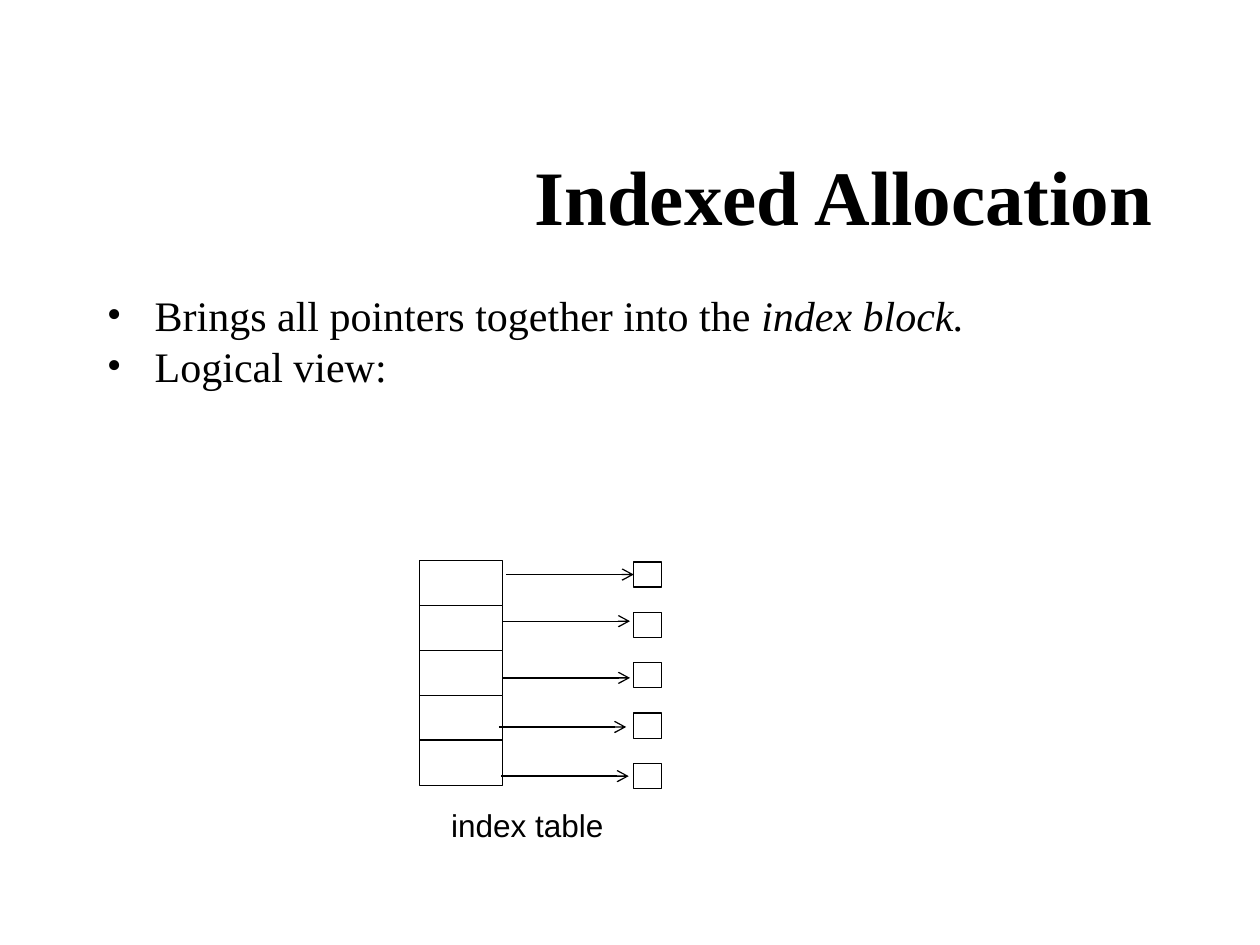
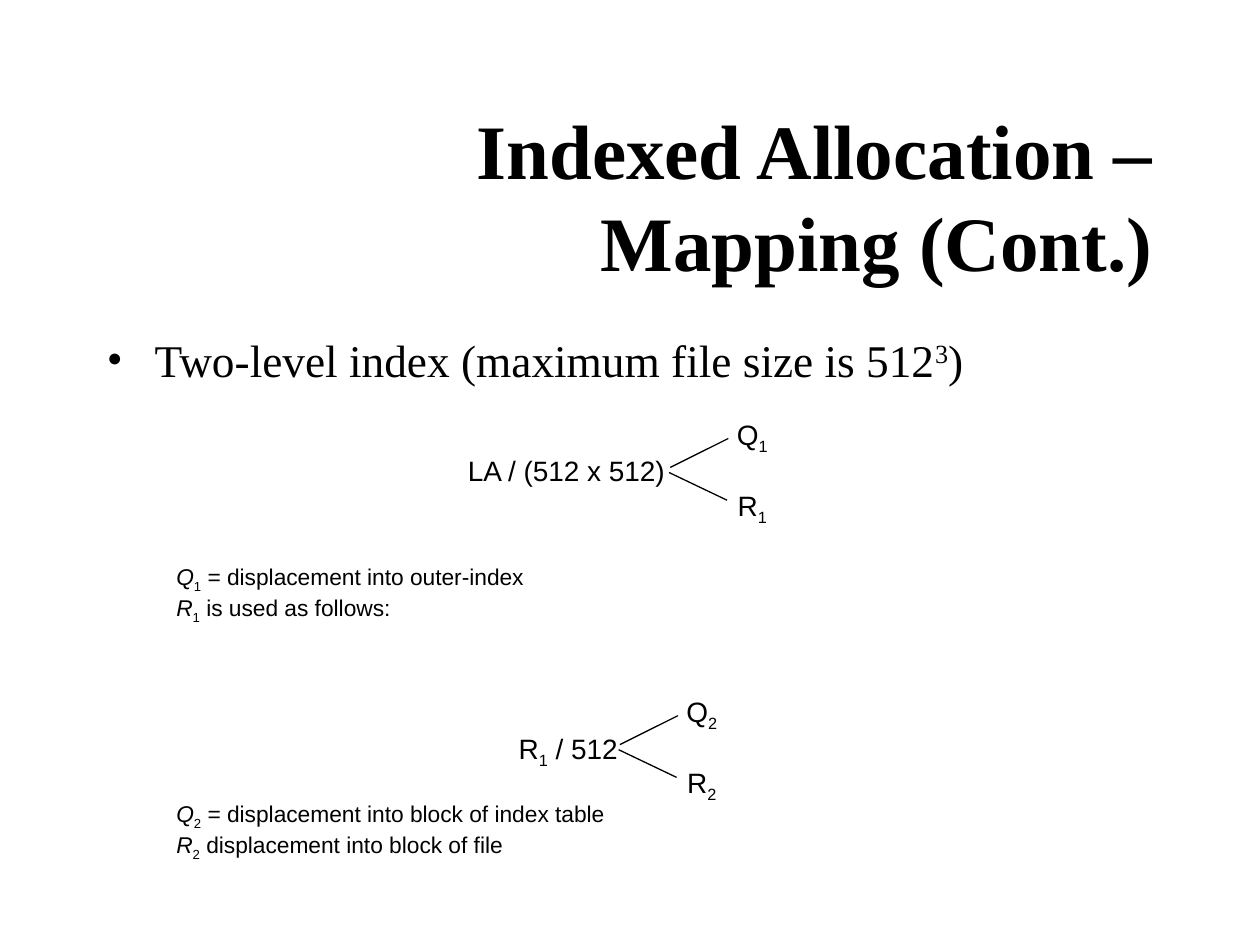
from lxml import etree
from pptx import Presentation
from pptx.dml.color import RGBColor
from pptx.enum.shapes import MSO_CONNECTOR, MSO_SHAPE
from pptx.enum.text import MSO_ANCHOR, MSO_AUTO_SIZE, PP_ALIGN
from pptx.oxml.ns import qn
from pptx.util import Inches, Pt

BLACK = RGBColor(0, 0, 0)
WHITE = RGBColor(255, 255, 255)
SERIF, SANS = "Times New Roman", "Arial"
LINE_WIDTH = Pt(0.75)
BASELINES = {"sub": "-25000", "sup": "30000"}

# A paragraph is a list of runs; a run is plain text or (text, style).
INDEX_TITLE = "Indexed Allocation"
INDEX_BULLETS = [
    ["Brings all pointers together into the ", ("index block.", "italic")],
    ["Logical view:"],
]
INDEX_LABEL = "index table"
ENTRY_COUNT = 5
ARROW_STARTS = [(4.02, 4.56), (3.99, 4.93), (3.99, 5.38), (3.96, 5.77), (3.98, 6.16)]
ARROW_LENGTH = 1.01

MAPPING_TITLE = "Indexed Allocation – Mapping (Cont.)"
MAPPING_BULLETS = [["Two-level index (maximum file size is 512", ("3", "sup"), ")"]]
DIVISIONS = [
    {
        "dividend": ["LA / (512 x 512)"], "dividend_box": (3.59, 3.55, 1.81, 0.37),
        "level": "1", "fork": (5.31, 3.26), "notes_top": 4.42,
        "notes": [" = displacement into outer-index", " is used as follows:"],
    },
    {
        "dividend": ["R", ("1", "sub"), " / 512"], "dividend_box": (3.98, 5.75, 1.06, 0.41),
        "level": "2", "fork": (4.91, 5.46), "notes_top": 6.3,
        "notes": [" = displacement into block of index table", " displacement into block of file"],
    },
]


def add_text(slide, paragraphs, box, font=SANS, size=16, bold=False, align=PP_ALIGN.LEFT,
             anchor=MSO_ANCHOR.TOP, wrap=True, indent=None, bullet=False,
             line_spacing=None, space_before=0):
    """Add a text box; indent is (left margin, first line) in inches."""
    frame = slide.shapes.add_textbox(*map(Inches, box)).text_frame
    frame.word_wrap = wrap
    frame.auto_size = MSO_AUTO_SIZE.NONE if wrap else MSO_AUTO_SIZE.SHAPE_TO_FIT_TEXT
    frame.vertical_anchor = anchor
    for number, runs in enumerate(paragraphs):
        paragraph = frame.add_paragraph() if number else frame.paragraphs[0]
        properties = paragraph._p.get_or_add_pPr()
        if indent:
            properties.set("marL", str(Inches(indent[0])))
            properties.set("indent", str(Inches(indent[1])))
        if bullet:
            etree.SubElement(properties, qn("a:buFont")).set("typeface", font)
            etree.SubElement(properties, qn("a:buChar")).set("char", "•")
        paragraph.alignment = align
        if line_spacing:
            paragraph.line_spacing = line_spacing
        if number and space_before:
            paragraph.space_before = Pt(space_before)
        for item in runs:
            text, style = (item, None) if isinstance(item, str) else item
            run = paragraph.add_run()
            run.text = text
            run.font.name = font
            run.font.size = Pt(size)
            run.font.bold = bold
            run.font.italic = style == "italic"
            run.font.color.rgb = BLACK
            if style in BASELINES:
                run.font._element.set("baseline", BASELINES[style])


def add_label(slide, runs, box, size=16):
    add_text(slide, [runs], box, size=size, align=PP_ALIGN.CENTER,
             anchor=MSO_ANCHOR.MIDDLE, wrap=False)


def add_bullets(slide, paragraphs, top, height, size):
    add_text(slide, paragraphs, (0.75, top, 8.5, height), font=SERIF, size=size,
             indent=(0.38, -0.38), bullet=True, line_spacing=0.8, space_before=6)


def add_titled_slide(presentation, title):
    slide = presentation.slides.add_slide(presentation.slide_layouts[6])
    add_text(slide, [[title]], (2.08, 0.92, 7.17, 1.25), font=SERIF, size=44, bold=True,
             align=PP_ALIGN.RIGHT, anchor=MSO_ANCHOR.MIDDLE)
    return slide


def add_rectangle(slide, box):
    shape = slide.shapes.add_shape(MSO_SHAPE.RECTANGLE, *map(Inches, box))
    shape.shadow.inherit = False
    shape.fill.solid()
    shape.fill.fore_color.rgb = WHITE
    shape.line.color.rgb = BLACK
    shape.line.width = LINE_WIDTH
    return shape


def add_line(slide, start, end, arrow=False):
    connector = slide.shapes.add_connector(
        MSO_CONNECTOR.STRAIGHT, *map(Inches, (*start, *end)))
    connector.line.color.rgb = BLACK
    connector.line.width = LINE_WIDTH
    if arrow:
        outline = connector.line._get_or_add_ln()
        etree.SubElement(outline, qn("a:tailEnd")).set("type", "arrow")
    etree.SubElement(connector._element.spPr, qn("a:effectLst"))
    return connector


def build_index_slide(presentation):
    slide = add_titled_slide(presentation, INDEX_TITLE)
    add_bullets(slide, INDEX_BULLETS, 2.33, 0.9, 24)
    for entry in range(ENTRY_COUNT):
        add_rectangle(slide, (3.33, 4.45 + entry * 1.78 / ENTRY_COUNT, 0.66, 0.36))
    blocks = [add_rectangle(slide, (5.03, 4.46 + entry * 0.4, 0.22, 0.2))
              for entry in range(ENTRY_COUNT)]
    arrows = [add_line(slide, (x, y), (x + ARROW_LENGTH, y), arrow=True)
              for x, y in ARROW_STARTS]
    arrows[0].end_connect(blocks[0], 1)
    add_label(slide, [INDEX_LABEL], (3.48, 6.35, 1.41, 0.4), size=18)


def add_division(slide, division):
    """Draw a dividend that forks into quotient and remainder, with notes below."""
    left, top = division["fork"]
    subscript = (division["level"], "sub")
    add_label(slide, division["dividend"], division["dividend_box"])
    for row, letter in enumerate("QR"):
        add_label(slide, [letter, subscript], (left + 0.41, top + row * 0.56, 0.5, 0.41))
    add_line(slide, (left + 0.01, top + 0.45), (left + 0.47, top + 0.22))
    add_line(slide, (left, top + 0.49), (left + 0.46, top + 0.71))
    notes = [[(letter, "italic"), subscript, note]
             for letter, note in zip("QR", division["notes"])]
    add_text(slide, notes, (0.92, division["notes_top"], 7.69, 0.81), size=13,
             indent=(0.69, -0.31))


def build_mapping_slide(presentation):
    slide = add_titled_slide(presentation, MAPPING_TITLE)
    add_bullets(slide, MAPPING_BULLETS, 2.67, 0.55, 25.9)
    for division in DIVISIONS:
        add_division(slide, division)


def main():
    presentation = Presentation()
    presentation.slide_width = Inches(10)
    presentation.slide_height = Inches(7.5)
    build_index_slide(presentation)
    build_mapping_slide(presentation)
    presentation.save("out.pptx")


if __name__ == "__main__":
    main()
